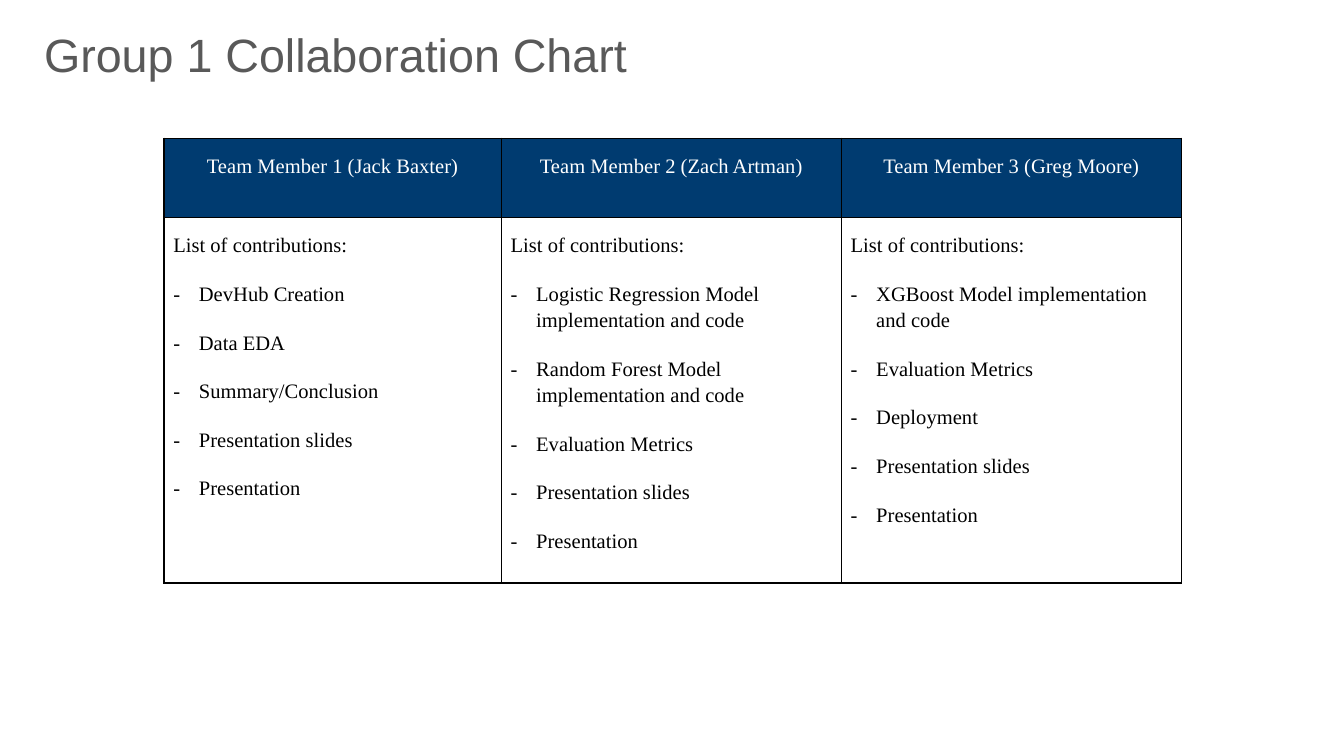
from dataclasses import dataclass

from lxml import etree
from pptx import Presentation
from pptx.dml.color import RGBColor
from pptx.enum.text import PP_ALIGN
from pptx.oxml.ns import qn
from pptx.util import Inches, Pt

CENTER = PP_ALIGN.CENTER
SERIF = "Times New Roman"
NAVY, WHITE, BLACK, GRAY = "003B70", "FFFFFF", "000000", "595959"
WIDTHS = (2.51, 2.53, 2.53)
HEIGHTS = (0.59, 2.59)
INDENT = Inches(0.19)


@dataclass
class Member:
    name: str
    tasks: list[str]


SHARED = ["Presentation slides", "Presentation"]
MEMBERS = [
    Member("Jack Baxter", ["DevHub Creation", "Data EDA", "Summary/Conclusion", *SHARED]),
    Member("Zach Artman", ["Logistic Regression Model implementation and code",
                           "Random Forest Model implementation and code",
                           "Evaluation Metrics", *SHARED]),
    Member("Greg Moore", ["XGBoost Model implementation and code",
                          "Evaluation Metrics", "Deployment", *SHARED]),
]


def style(font, face: str, size: float, color: str) -> None:
    font.name = face
    font.size = Pt(size)
    font.color.rgb = RGBColor.from_string(color)


def border(cell) -> None:
    props = cell._tc.get_or_add_tcPr()
    for side in ("lnL", "lnR", "lnT", "lnB"):
        line = etree.SubElement(props, qn(f"a:{side}"), w=str(Pt(1)))
        fill = etree.SubElement(line, qn("a:solidFill"))
        etree.SubElement(fill, qn("a:srgbClr"), val=BLACK)


def dash(para) -> None:
    props = para._p.get_or_add_pPr()
    props.set("marL", str(INDENT))
    props.set("indent", str(-INDENT))
    color = etree.SubElement(props, qn("a:buClr"))
    etree.SubElement(color, qn("a:srgbClr"), val=BLACK)
    etree.SubElement(props, qn("a:buSzPts"), val="1100")
    etree.SubElement(props, qn("a:buFont"), typeface=SERIF)
    etree.SubElement(props, qn("a:buChar"), char="-")


def write(cell, lines: list[str], color: str) -> None:
    cell.margin_left = cell.margin_right = Inches(0.07)
    cell.margin_top = cell.margin_bottom = Inches(0.1)
    border(cell)
    cell.text_frame.text = "\n".join(lines)
    for i, para in enumerate(cell.text_frame.paragraphs):
        para.line_spacing = 1.15
        para.space_before = Pt(12 if i else 0)
        style(para.runs[0].font, SERIF, 11, color)


deck = Presentation()
deck.slide_width = Inches(10)
deck.slide_height = deck.slide_width * 9 // 16
slide = deck.slides.add_slide(deck.slide_layouts[6])

# Title
title = slide.shapes.add_textbox(Inches(0.23), Inches(0.09), Inches(6.64), Inches(1.21))
frame = title.text_frame
frame.word_wrap = True
frame.margin_left = frame.margin_right = Inches(0.1)
frame.margin_top = frame.margin_bottom = Inches(0.1)
frame.text = "Group 1 Collaboration Chart"
style(frame.paragraphs[0].runs[0].font, "Arial", 25, GRAY)

# Table grid
table = slide.shapes.add_table(
    len(HEIGHTS), len(MEMBERS), Inches(1.22), Inches(1.03),
    Inches(sum(WIDTHS)), Inches(sum(HEIGHTS))).table
table.first_row = table.horz_banding = False
for col, width in zip(table.columns, WIDTHS):
    col.width = Inches(width)
for row, height in zip(table.rows, HEIGHTS):
    row.height = Inches(height)

# One column per member
for i, member in enumerate(MEMBERS):
    head, body = table.cell(0, i), table.cell(1, i)
    write(head, [f"Team Member {i + 1} ({member.name})"], WHITE)
    head.fill.solid()
    head.fill.fore_color.rgb = RGBColor.from_string(NAVY)
    label = head.text_frame.paragraphs[0]
    label.alignment = CENTER
    label.space_after = Pt(12)

    write(body, ["List of contributions:", *member.tasks], BLACK)
    body.fill.background()
    for para in body.text_frame.paragraphs[1:]:
        dash(para)

deck.save("out.pptx")
